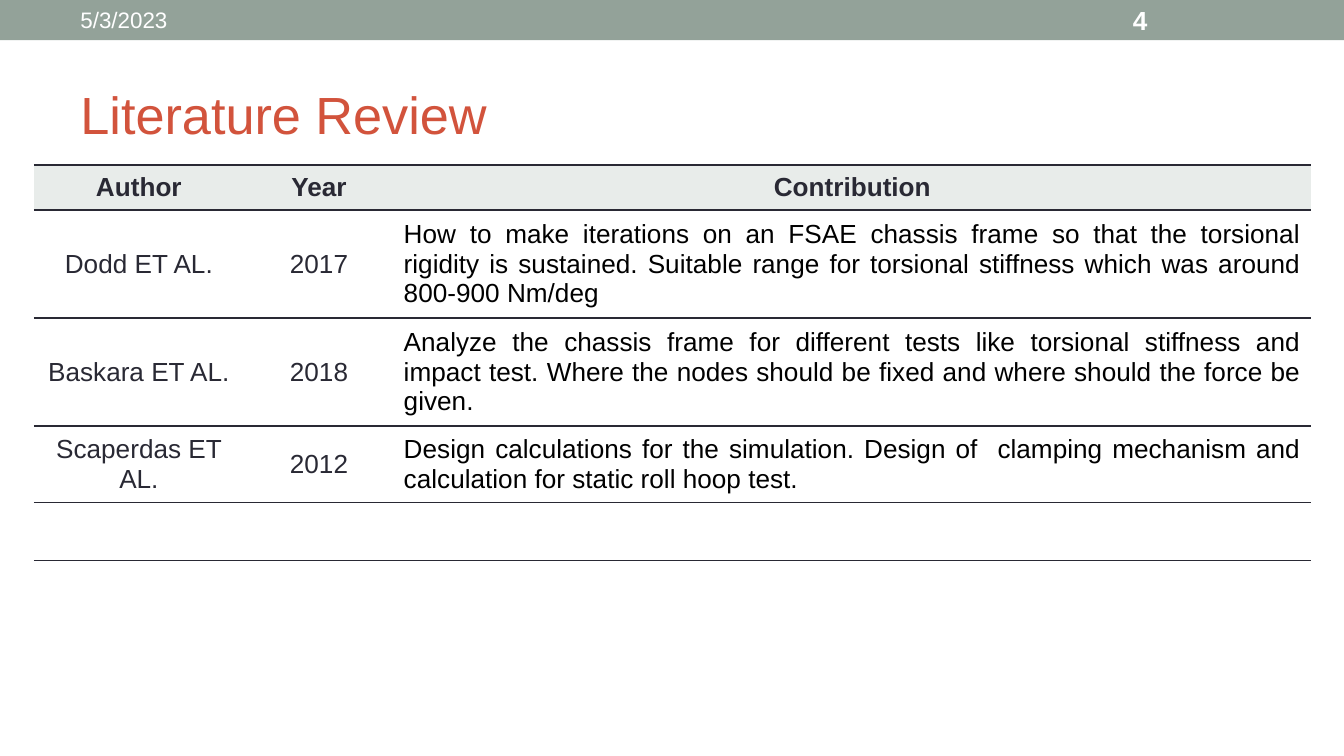
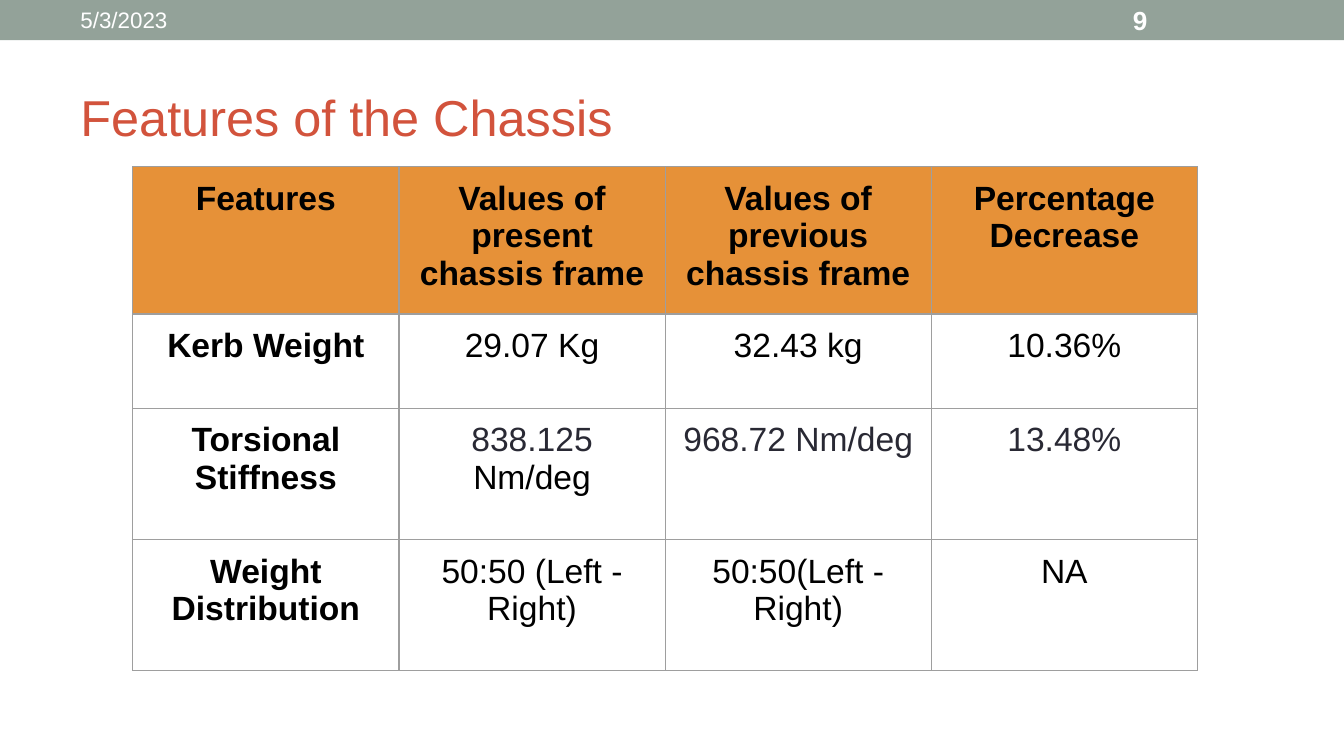
from lxml.etree import SubElement
from pptx import Presentation
from pptx.dml.color import RGBColor
from pptx.enum.shapes import MSO_SHAPE as Shape
from pptx.enum.text import MSO_ANCHOR as Anchor, MSO_AUTO_SIZE as AutoSize, PP_ALIGN as Align
from pptx.oxml.ns import qn
from pptx.util import Cm, Pt

FONT = "Arial"
WHITE, BLACK, INK = "FFFFFF", "000000", "292934"
SAGE, MIST, RED = "93A299", "E8ECEA", "D2533C"
ORANGE, GREY = "E69138", "9E9E9E"
TITLE_ONLY = 5
LEFT = 1.27
PADDING = (0.25, 0.13, 0.25, 0.13)

REVIEW = [
    ["Author", "Year", "Contribution"],
    ["Dodd ET AL.", "2017",
     "How to make iterations on an FSAE chassis frame so that the torsional rigidity is "
     "sustained. Suitable range for torsional stiffness which was around 800-900 Nm/deg"],
    ["Baskara ET AL.", "2018",
     "Analyze the chassis frame for different tests like torsional stiffness and impact test. "
     "Where the nodes should be fixed and where should the force be given."],
    ["Scaperdas ET AL.", "2012",
     "Design calculations for the simulation. Design of  clamping mechanism and calculation "
     "for static roll hoop test."],
    ["", "", ""],
]
FEATURES = [
    ["Features", "Values of present chassis frame", "Values of previous chassis frame",
     "Percentage Decrease"],
    ["Kerb Weight", "29.07 Kg", "32.43 kg", "10.36%"],
    ["Torsional Stiffness", "838.125 Nm/deg", "968.72 Nm/deg", "13.48%"],
    ["Weight Distribution", "50:50 (Left - Right)", "50:50(Left - Right)", "NA"],
]


def rgb(code):
    return RGBColor.from_string(code)


def style(span, size, color, bold=False):
    span.font.name = FONT
    span.font.size = Pt(size)
    span.font.bold = bold
    span.font.color.rgb = rgb(color)


def set_margins(target, margins):
    (target.margin_left, target.margin_top,
     target.margin_right, target.margin_bottom) = map(Cm, margins)


def place(shape, left, top, width, height):
    shape.left, shape.top, shape.width, shape.height = map(Cm, (left, top, width, height))


def add_title(slide, text, top, size, anchor=Anchor.MIDDLE, margins=PADDING):
    title = slide.shapes.title
    place(title, LEFT, top, 22.86, 2.06)
    frame = title.text_frame
    frame.text = text
    frame.auto_size = AutoSize.NONE
    frame.vertical_anchor = anchor
    set_margins(frame, margins)
    para = frame.paragraphs[0]
    para.alignment = Align.LEFT
    style(para.runs[0], size, RED)


def add_label(slide, text, left, width, size, bold=False):
    box = slide.shapes.add_textbox(Cm(left), Cm(0.03), Cm(width), Cm(0.69))
    frame = box.text_frame
    frame.text = text
    frame.word_wrap = True
    frame.vertical_anchor = Anchor.MIDDLE
    set_margins(frame, PADDING)
    style(frame.paragraphs[0].runs[0], size, WHITE, bold)


def add_page(deck, number):
    slide = deck.slides.add_slide(deck.slide_layouts[TITLE_ONLY])
    band = slide.shapes.add_shape(Shape.RECTANGLE, 0, 0, deck.slide_width, Cm(0.76))
    band.shadow.inherit = False
    band.fill.solid()
    band.fill.fore_color.rgb = rgb(SAGE)
    band.line.fill.background()
    add_label(slide, "5/3/2023", LEFT, 8.05, 12)
    add_label(slide, str(number), 21.16, 2.97, 14, True)
    return slide


def set_borders(cell, sides, color, width):
    properties = cell._tc.get_or_add_tcPr()
    for index, side in enumerate("LRTB"):
        line = SubElement(properties, qn(f"a:ln{side}"))
        properties.insert(index, line)
        if side in sides:
            line.set("w", str(Pt(width)))
            fill = SubElement(line, qn("a:solidFill"))
            SubElement(fill, qn("a:srgbClr")).set("val", color)
        else:
            line.set("w", "0")
            SubElement(line, qn("a:noFill"))


def fill_cell(cell, color):
    if color:
        cell.fill.solid()
        cell.fill.fore_color.rgb = rgb(color)
    else:
        cell.fill.background()


def add_grid(slide, rows, left, top, widths, heights, margins, anchor, borders):
    shape = slide.shapes.add_table(len(rows), len(widths), Cm(left), Cm(top),
                                   Cm(sum(widths)), Cm(sum(heights)))
    table = shape.table
    table.first_row = table.horz_banding = False
    for column, width in zip(table.columns, widths):
        column.width = Cm(width)
    for row, height in zip(table.rows, heights):
        row.height = Cm(height)
    for row, texts in zip(table.rows, rows):
        for cell, text in zip(row.cells, texts):
            cell.text_frame.text = text
            cell.text_frame.paragraphs[0].alignment = Align.CENTER
            cell.vertical_anchor = anchor
            set_margins(cell, margins)
            set_borders(cell, *borders)
    return table


def format_cell(cell, fill, size, color, bold):
    fill_cell(cell, fill)
    for span in cell.text_frame.paragraphs[0].runs:
        style(span, size, color, bold)


def build_review(deck):
    slide = add_page(deck, 4)
    add_title(slide, "Literature Review", 1.12, 28)
    table = add_grid(slide, REVIEW, 0.64, 3.12, [3.97, 2.84, 17.32],
                     [0.84, 1.93, 1.93, 1.4, 1.09], (0.18, 0.13, 0.18, 0.13),
                     Anchor.MIDDLE, ("TB", INK, 1))
    for r, row in enumerate(table.rows):
        for c, cell in enumerate(row.cells):
            header, prose = r == 0, r > 0 and c == 2
            format_cell(cell, MIST if header else WHITE, 14, BLACK if prose else INK, header)
            if prose:
                cell.text_frame.paragraphs[0].alignment = Align.JUSTIFY


def build_features(deck):
    slide = add_page(deck, 9)
    add_title(slide, "Features of the Chassis", 1.63, 27, Anchor.TOP, (0.25, 0, 0.25, 0))
    table = add_grid(slide, FEATURES, 2.51, 3.15, [5.03] * 4, [2.64, 1.78, 2.48, 2.48],
                     (0.25,) * 4, Anchor.TOP, ("LRTB", GREY, 0.75))
    for r, row in enumerate(table.rows):
        for c, cell in enumerate(row.cells):
            color = INK if r == 2 and c > 0 else BLACK
            format_cell(cell, None if r else ORANGE, 18, color, r == 0 or c == 0)
    para = table.cell(2, 1).text_frame.paragraphs[0]
    para.runs[0].text = "838.125 "
    unit = para.add_run()
    unit.text = "Nm/deg"
    style(unit, 18, BLACK)


def main():
    deck = Presentation()
    deck.slide_width, deck.slide_height = Cm(25.4), Cm(14.29)
    build_review(deck)
    build_features(deck)
    deck.save("out.pptx")


if __name__ == "__main__":
    main()
